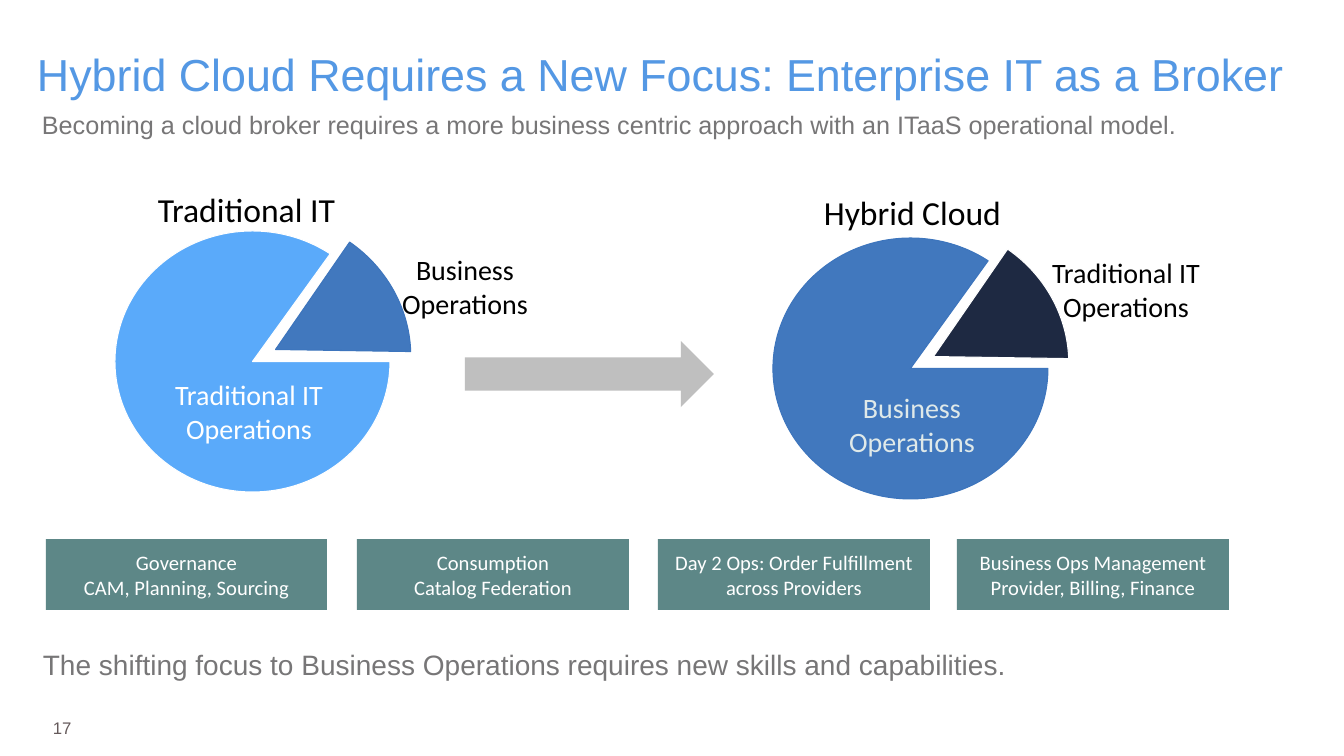
from pptx import Presentation
from pptx.dml.color import RGBColor
from pptx.enum.shapes import MSO_SHAPE as Shape
from pptx.enum.text import MSO_ANCHOR as Anchor, PP_ALIGN as Align
from pptx.util import Emu, Pt

# Content: text, box in px, size, colour, anchor
HEADS = [
    ("Hybrid Cloud Requires a New Focus: Enterprise IT as a Broker",
     (30, 42, 1276, 69), 32, "5498E4", Anchor.TOP),
    ("Becoming a cloud broker requires a more business centric approach "
     "with an ITaaS operational model.",
     (32, 110, 1236, 35), 18, "777677", Anchor.BOTTOM),
    ("The shifting focus to Business Operations requires new skills and capabilities.",
     (33, 651, 1175, 35), 20, "777677", Anchor.BOTTOM),
    ("17", (43, 714, 65, 27), 12, "655A5B", Anchor.MIDDLE),
]
# Large slice and small slice: fill, line
PIES = [
    ((115, 231), ("5AAAFA", "FFFFFF"), ("4178BE", "3D75BD")),
    ((773, 238), ("4178BE", "3D75BD"), ("1E2942", "FFFFFF")),
]
TITLES = [("Traditional IT", (148, 184)), ("Hybrid Cloud", (814, 187))]
LABELS = [
    ("Traditional IT Operations", (161, 373), "FFFFFF"),
    ("Business Operations", (377, 248), "000000"),
    ("Traditional IT Operations", (1038, 251), "000000"),
    ("Business Operations", (824, 386), "DFE9E9"),
]
# Text, left, width
BARS = [
    ("Governance\nCAM, Planning, Sourcing", 46, 281),
    ("Consumption\nCatalog Federation", 357, 272),
    ("Day 2 Ops: Order Fulfillment across Providers", 658, 272),
    ("Business Ops Management\nProvider, Billing, Finance", 957, 272),
]
PIE_W, PIE_H = 275, 261
LARGE, SMALL = 183.49, 33.77  # slice ends, in units of 5/3 degree
TURN = 304.6


def px(n):
    return Emu(round(n * 914400 / 100.8))


def rgb(code):
    return RGBColor.from_string(code)


def write(shape, text, size, color, font="Calibri", align=Align.LEFT,
          anchor=Anchor.TOP, wrap=True):
    frame = shape.text_frame
    frame.word_wrap = wrap
    frame.vertical_anchor = anchor
    frame.text = text
    for para in frame.paragraphs:
        para.alignment = align
        for run in para.runs:
            run.font.name = font
            run.font.size = Pt(size)
            run.font.color.rgb = rgb(color)
    return frame


def label(box, *args, **opts):
    return write(slide.shapes.add_textbox(*map(px, box)), *args, **opts)


def draw(kind, box, fill, line=None):
    shape = slide.shapes.add_shape(kind, *map(px, box))
    shape.shadow.inherit = False
    shape.fill.solid()
    shape.fill.fore_color.rgb = rgb(fill)
    if line:
        shape.line.color.rgb = rgb(line)
        shape.line.width = Pt(0.75)
    else:
        shape.line.fill.background()
    return shape


def slice_of(box, end, colors, turn=0):
    shape = draw(Shape.PIE, box, *colors)
    shape.adjustments[0] = 0
    shape.adjustments[1] = end
    shape.rotation = turn


deck = Presentation()
deck.slide_width, deck.slide_height = px(1344), px(756)
slide = deck.slides.add_slide(deck.slide_layouts[6])

# Title, subtitle, closing line and page number
for text, box, size, color, anchor in HEADS:
    frame = label(box, text, size, color, font="Arial", anchor=anchor)
    if size == 32:
        frame.margin_left = frame.margin_right = px(7)

# Pies, the small slice turned and pulled out
for (x, y), large, small in PIES:
    slice_of((x, y, PIE_W, PIE_H), LARGE, large)
    slice_of((x + 30, y - 19, PIE_H, PIE_W), SMALL, small, TURN)

# Pie titles and slice labels
for text, at in TITLES:
    label((*at, 200, 50), text, 24, "000000", wrap=False)
for text, at, color in LABELS:
    label((*at, 176, 78), text, 20, color, align=Align.CENTER)

# Arrow between the pies
draw(Shape.RIGHT_ARROW, (465, 341, 249, 66), "BFBFBF")

# Skill bars
for text, x, w in BARS:
    bar = draw(Shape.RECTANGLE, (x, 539, w, 71), "5D8787")
    write(bar, text, 14.7, "FFFFFF", align=Align.CENTER, anchor=Anchor.MIDDLE)

deck.save("out.pptx")
